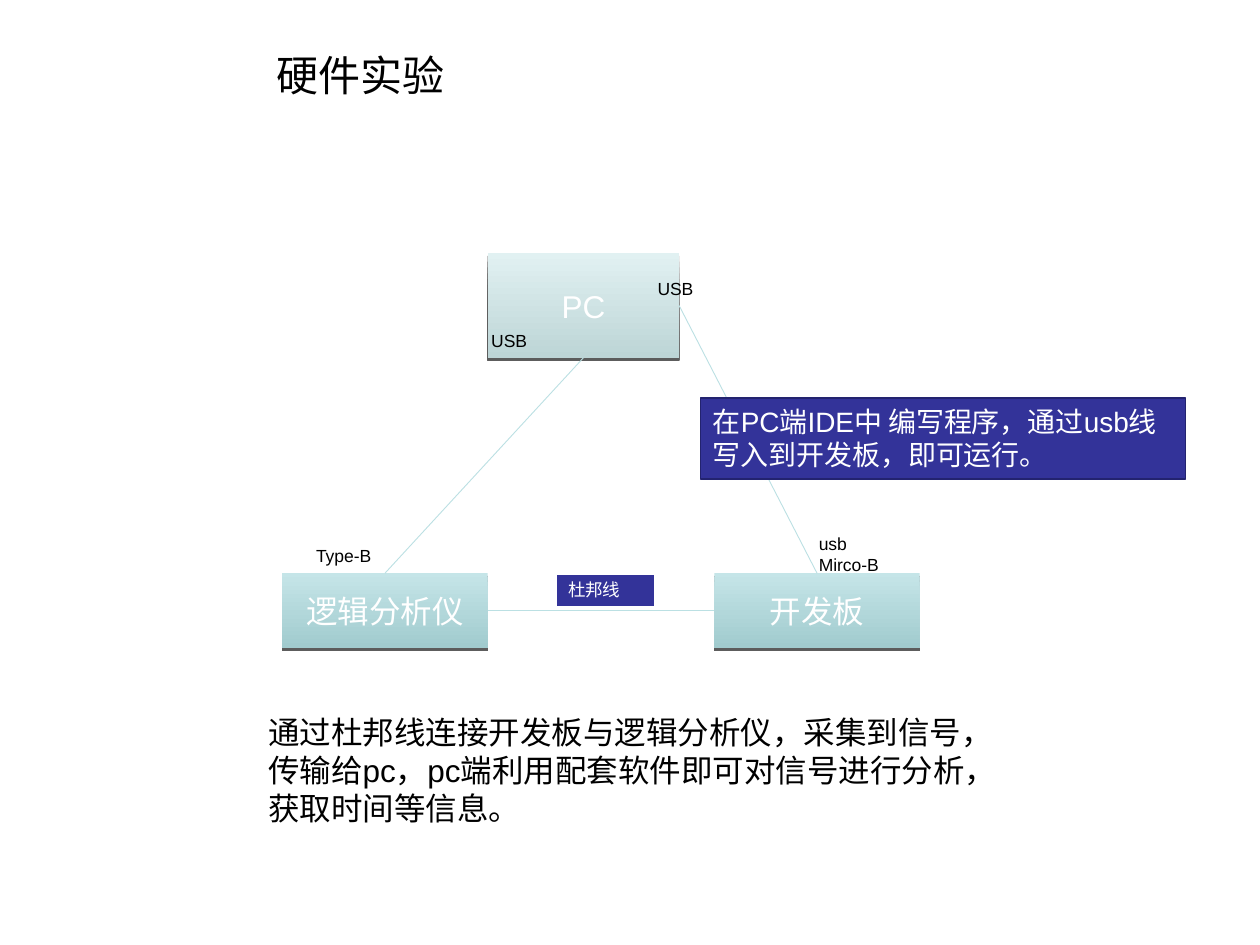
from dataclasses import dataclass

from lxml.etree import SubElement
from pptx import Presentation
from pptx.dml.color import RGBColor
from pptx.enum.shapes import MSO_CONNECTOR, MSO_SHAPE
from pptx.enum.text import MSO_ANCHOR, MSO_AUTO_SIZE, PP_ALIGN
from pptx.oxml.ns import qn
from pptx.shapes.autoshape import Shape
from pptx.slide import Slide
from pptx.util import Inches, Pt

FONT = "Arial"
BLACK = "000000"
WHITE = "FFFFFF"
LINK = "BBE0E3"
NOTE_FILL = "333399"
TEAL = ("C5E5E8", "A1CBCE")
PALE = ("E1F1F2", "BDD5D6")
TOP, LEFT, BOTTOM, RIGHT = range(4)


@dataclass(frozen=True)
class Area:
    left: float
    top: float
    width: float
    height: float

    def lengths(self) -> tuple:
        return tuple(Inches(n) for n in (self.left, self.top, self.width, self.height))


@dataclass(frozen=True)
class Device:
    name: str
    area: Area
    gradient: tuple[str, str]


@dataclass(frozen=True)
class Link:
    start: str
    start_site: int
    end: str
    end_site: int
    weight: float


@dataclass(frozen=True)
class Caption:
    text: str
    area: Area
    size: int = 10


@dataclass(frozen=True)
class Note:
    caption: Caption
    border: str
    weight: float


TITLE = Caption("硬件实验", Area(0.45, 0.31, 4.83, 0.57), 24)
DEVICES = [
    Device("开发板", Area(5.67, 4.55, 1.63, 0.59), TEAL),
    Device("PC", Area(3.87, 2.01, 1.52, 0.83), PALE),
    Device("逻辑分析仪", Area(2.24, 4.55, 1.63, 0.59), TEAL),
]
LINKS = [
    Link("逻辑分析仪", RIGHT, "开发板", LEFT, 1),
    Link("PC", BOTTOM, "逻辑分析仪", TOP, 0.5),
    Link("PC", RIGHT, "开发板", TOP, 0.5),
]
CAPTIONS = [
    Caption("USB", Area(5.12, 2.16, 0.72, 0.27)),
    Caption("USB", Area(3.8, 2.57, 0.72, 0.27)),
    Caption("usb Mirco-B", Area(6.4, 4.18, 0.72, 0.44)),
    Caption("Type-B", Area(2.41, 4.28, 0.72, 0.27)),
    Caption(
        "通过杜邦线连接开发板与逻辑分析仪，采集到信号，传输给pc，"
        "pc端利用配套软件即可对信号进行分析，获取时间等信息。",
        Area(2.03, 5.61, 5.93, 1), 18),
]
NOTES = [
    Note(Caption("杜邦线", Area(4.41, 4.55, 0.79, 0.27)), WHITE, 1.5),
    Note(Caption("在PC端IDE中 编写程序，通过usb线 写入到开发板，即可运行。",
                 Area(5.56, 3.16, 3.85, 0.64), 16), "23236F", 1),
]


def colour(code: str) -> RGBColor:
    return RGBColor.from_string(code)


def write(shape: Shape, text: str, size: int, ink: str, centred: bool = False) -> None:
    frame = shape.text_frame
    frame.text = text
    frame.word_wrap = True
    frame.auto_size = MSO_AUTO_SIZE.NONE if centred else MSO_AUTO_SIZE.SHAPE_TO_FIT_TEXT
    frame.vertical_anchor = MSO_ANCHOR.MIDDLE if centred else MSO_ANCHOR.TOP
    para = frame.paragraphs[0]
    para.alignment = PP_ALIGN.CENTER if centred else PP_ALIGN.LEFT
    for span in para.runs:
        span.font.name = FONT
        span.font.size = Pt(size)
        span.font.color.rgb = colour(ink)


def add_shadow(shape: Shape) -> None:
    shape.shadow.inherit = False
    effects = shape.element.spPr.find(qn("a:effectLst"))
    shadow = SubElement(effects, qn("a:outerShdw"), blurRad="0", dist=str(int(Pt(1.5))),
                        dir="5400000", rotWithShape="0")
    shade = SubElement(shadow, qn("a:srgbClr"), val=BLACK)
    SubElement(shade, qn("a:alpha"), val="63000")


def add_device(page: Slide, device: Device) -> Shape:
    box = page.shapes.add_shape(MSO_SHAPE.FLOWCHART_PROCESS, *device.area.lengths())
    box.fill.gradient()
    box.fill.gradient_angle = 270
    for stop, code, position in zip(box.fill.gradient_stops, device.gradient, (0, 1)):
        stop.color.rgb = colour(code)
        stop.position = position
    box.line.fill.background()
    add_shadow(box)
    write(box, device.name, 18, WHITE, centred=True)
    return box


def add_link(page: Slide, link: Link, boxes: dict[str, Shape]) -> None:
    line = page.shapes.add_connector(MSO_CONNECTOR.STRAIGHT, 0, 0, 0, 0)
    line.begin_connect(boxes[link.start], link.start_site)
    line.end_connect(boxes[link.end], link.end_site)
    line.line.color.rgb = colour(LINK)
    line.line.width = Pt(link.weight)
    SubElement(line.element.spPr, qn("a:effectLst"))


def add_caption(page: Slide, caption: Caption, centred: bool = False) -> None:
    box = page.shapes.add_textbox(*caption.area.lengths())
    write(box, caption.text, caption.size, BLACK, centred)


def add_note(page: Slide, note: Note) -> None:
    box = page.shapes.add_shape(MSO_SHAPE.RECTANGLE, *note.caption.area.lengths())
    box.shadow.inherit = False
    box.fill.solid()
    box.fill.fore_color.rgb = colour(NOTE_FILL)
    box.line.color.rgb = colour(note.border)
    box.line.width = Pt(note.weight)
    write(box, note.caption.text, note.caption.size, WHITE)


def main() -> None:
    """Build the hardware experiment slide and save it."""
    deck = Presentation()
    deck.slide_width, deck.slide_height = Inches(10), Inches(7.5)
    page = deck.slides.add_slide(deck.slide_layouts[6])
    add_caption(page, TITLE, centred=True)
    boxes = {device.name: add_device(page, device) for device in DEVICES}
    for link in LINKS:
        add_link(page, link, boxes)
    for caption in CAPTIONS:
        add_caption(page, caption)
    for note in NOTES:
        add_note(page, note)
    deck.save("out.pptx")


if __name__ == "__main__":
    main()
